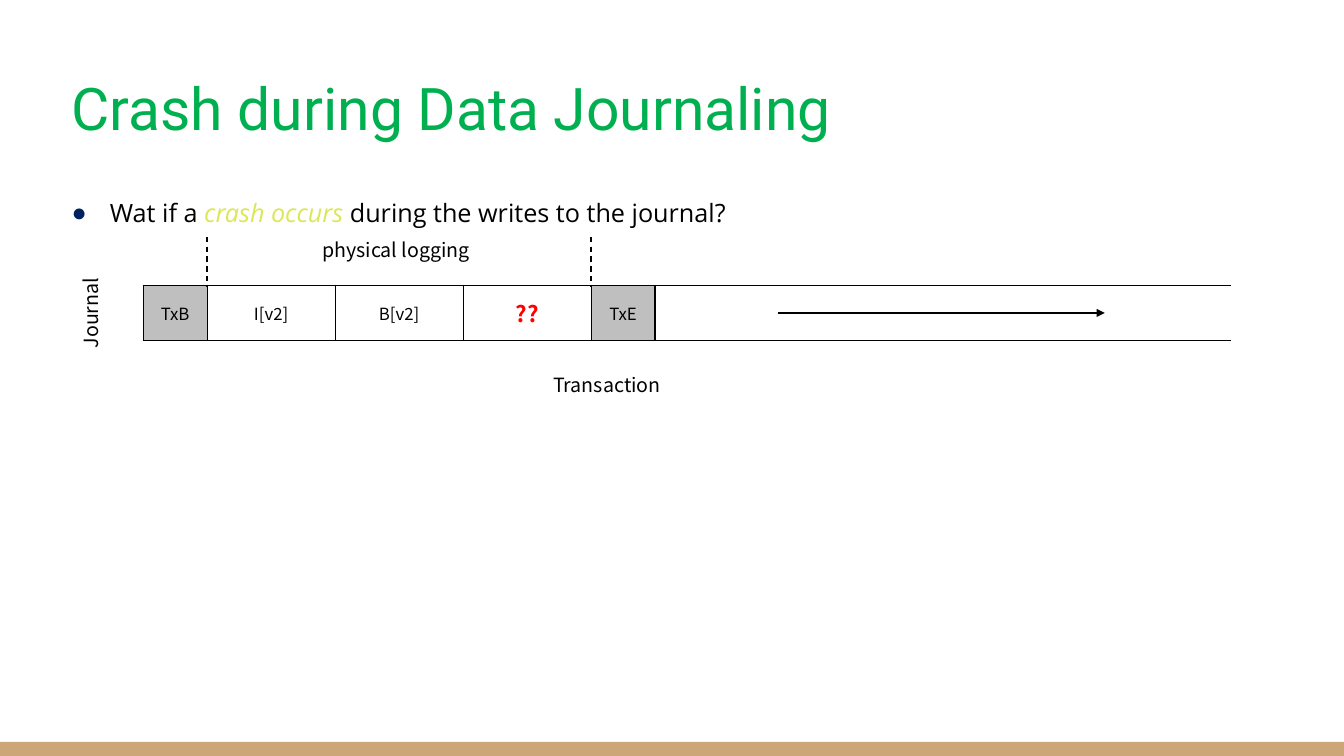
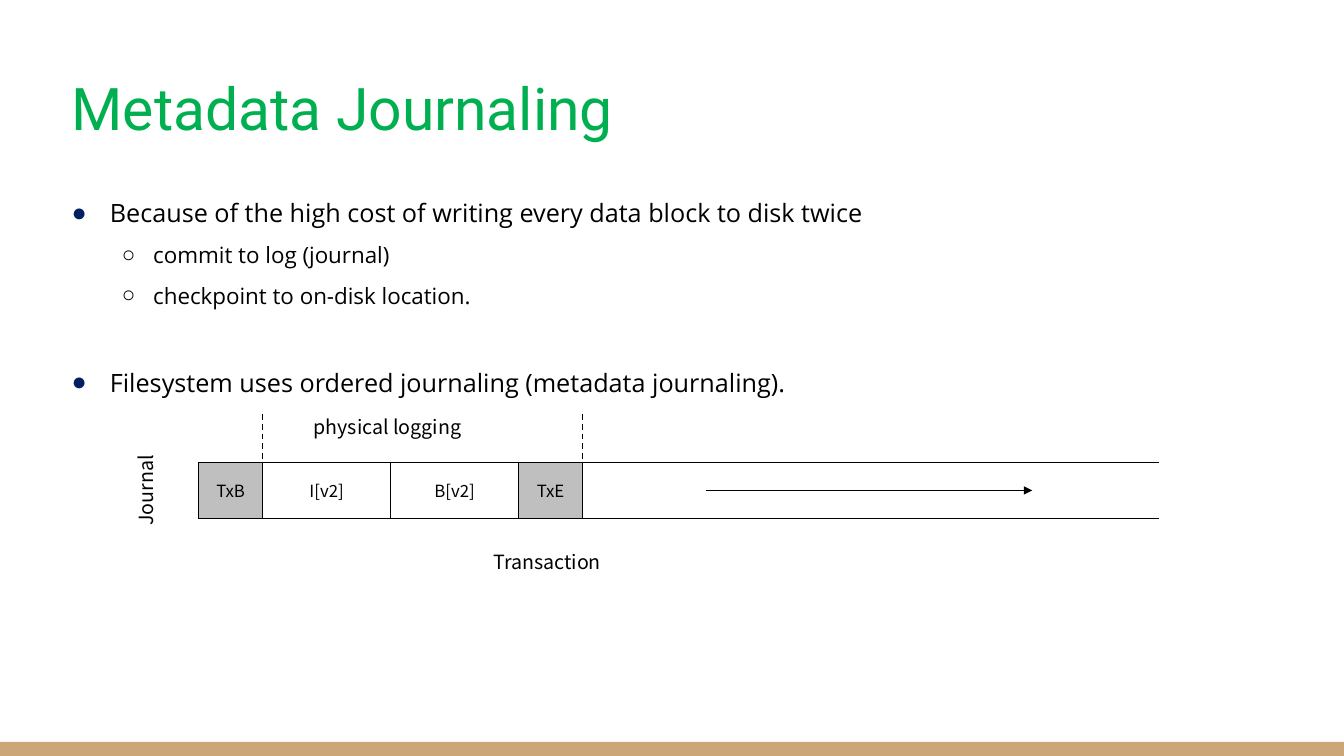
import lxml.etree
import pptx
import pptx.dml.color
import pptx.enum.dml
import pptx.enum.shapes
import pptx.enum.text
import pptx.oxml.ns
import pptx.util
from dataclasses import dataclass

ALIGN = pptx.enum.text.PP_ALIGN
MIDDLE = pptx.enum.text.MSO_ANCHOR.MIDDLE
TOP = pptx.enum.text.MSO_ANCHOR.TOP


@dataclass(frozen=True)
class Theme:
    title: str = "00B050"
    ink: str = "000000"
    paper: str = "FFFFFF"
    band: str = "CCA677"
    bullet: str = "002060"
    accent: str = "DCE755"
    alert: str = "FF0000"
    marker: str = "BFBFBF"
    title_font: str = "Roboto"
    body_font: str = "Open Sans"
    diagram_font: str = "Noto Sans CJK KR"
    title_size: int = 42
    body_sizes: tuple = (18, 16)
    label_size: int = 14
    cell_size: int = 12
    alert_size: int = 16


THEME = Theme()

# Slide grid: 21 columns; a journal row has a fixed height
WIDTH, HEIGHT = 13.33, 7.5
COL = WIDTH / 21
ROW = 0.55
MARGIN = 0.61
BAND_HEIGHT = 0.14

# Bullet character, colour, left margin and hanging indent for each level
BULLETS = (("●", THEME.bullet, 0.38, 0.38), ("○", THEME.ink, 0.81, 0.31))

# Journal blocks: text, width in columns, fill, extra font values
TX_BEGIN = ("TxB", 1, THEME.marker, {})
INODE = ("I[v2]", 2, THEME.paper, {})
BITMAP = ("B[v2]", 2, THEME.paper, {})
LOST = ("??", 2, THEME.paper,
        {"size": THEME.alert_size, "color": THEME.alert, "bold": True})
TX_END = ("TxE", 1, THEME.marker, {})
FREE = ("", 9, THEME.paper, {})


# Shared helpers
def inches(*lengths):
    return [pptx.util.Inches(length) for length in lengths]


def rgb(color):
    return pptx.dml.color.RGBColor.from_string(color)


def apply(target, values):
    for name, value in values.items():
        setattr(target, name, value)


def add_xml(parent, tag, **attributes):
    return lxml.etree.SubElement(parent, pptx.oxml.ns.qn(tag), attributes)


def add_color(parent, color):
    add_xml(add_xml(parent, "a:solidFill"), "a:srgbClr", val=color)


def add_run(paragraph, text, font, size, color=THEME.ink, **extra):
    run = paragraph.add_run()
    run.text = text
    run.font.color.rgb = rgb(color)
    apply(run.font, {"name": font, "size": pptx.util.Pt(size), **extra})
    return run


# Master and layout
def set_up_layout(presentation):
    layout = presentation.slide_layouts[1]
    title, body = list(layout.placeholders)[:2]
    for part, top, height in ((title, 0.46, 1.21), (body, 1.79, 4.89)):
        box = inches(MARGIN, top, WIDTH - 2 * MARGIN, height)
        apply(part, dict(zip(("left", "top", "width", "height"), box)))
    return layout


def add_band_to_master(presentation, slide):
    band = slide.shapes.add_shape(
        pptx.enum.shapes.MSO_SHAPE.RECTANGLE,
        *inches(0, HEIGHT - BAND_HEIGHT, WIDTH, BAND_HEIGHT))
    band.shadow.inherit = False
    band.fill.solid()
    band.fill.fore_color.rgb = rgb(THEME.band)
    band.line.fill.background()
    presentation.slide_master.element.cSld.spTree.insert(2, band.element)


# Title and bullet list
def write_title(slide, text):
    frame = slide.shapes.title.text_frame
    apply(frame, {"vertical_anchor": MIDDLE,
                  "auto_size": pptx.enum.text.MSO_AUTO_SIZE.NONE})
    heading = frame.paragraphs[0]
    heading.alignment = ALIGN.LEFT
    run = add_run(heading, text, THEME.title_font, THEME.title_size, THEME.title)
    effects = lxml.etree.Element(pptx.oxml.ns.qn("a:effectLst"))
    shadow = add_xml(effects, "a:outerShdw", dist="38100", dir="2700000")
    add_xml(shadow, "a:srgbClr", val=THEME.ink)
    run.font.fill  # the fill comes first, then the effects
    run.font._element.find(pptx.oxml.ns.qn("a:solidFill")).addnext(effects)


def write_list(slide, items):
    """Each item: level, space before in points, (text, font values) parts."""
    frame = slide.placeholders[1].text_frame
    apply(frame, {"vertical_anchor": TOP,
                  "auto_size": pptx.enum.text.MSO_AUTO_SIZE.NONE})
    for number, (level, space, parts) in enumerate(items):
        item = frame.add_paragraph() if number else frame.paragraphs[0]
        apply(item, {"level": level, "line_spacing": 1.4,
                     "space_before": pptx.util.Pt(space)})
        mark, color, margin, hang = BULLETS[level]
        properties = item._p.get_or_add_pPr()
        properties.set("marL", str(pptx.util.Inches(margin)))
        properties.set("indent", str(-pptx.util.Inches(hang)))
        add_xml(add_xml(properties, "a:buClr"), "a:srgbClr", val=color)
        add_xml(properties, "a:buChar", char=mark)
        for text, values in parts:
            add_run(item, text, THEME.body_font, THEME.body_sizes[level], **values)


# Diagram parts
def add_label(slide, text, box, align=ALIGN.CENTER, rotation=0):
    label = slide.shapes.add_textbox(*inches(*box))
    label.rotation = rotation
    label.text_frame.word_wrap = True
    paragraph = label.text_frame.paragraphs[0]
    paragraph.alignment = align
    add_run(paragraph, text, THEME.diagram_font, THEME.label_size)


def add_line(slide, start, end, dashed=False, arrow=False):
    line = slide.shapes.add_connector(
        pptx.enum.shapes.MSO_CONNECTOR.STRAIGHT, *inches(*start, *end))
    line.line.color.rgb = rgb(THEME.ink)
    line.line.width = pptx.util.Pt(1)
    if dashed:
        line.line.dash_style = pptx.enum.dml.MSO_LINE.DASH
    if arrow:
        add_xml(line.line._get_or_add_ln(), "a:tailEnd", type="triangle")
    add_xml(line.element.spPr, "a:effectLst")


def set_borders(cell, open_right):
    properties = cell._tc.get_or_add_tcPr()
    for side in "LRTB":
        border = add_xml(properties, f"a:ln{side}", w=str(pptx.util.Pt(1)))
        if side == "R" and open_right:
            add_xml(border, "a:noFill")
        else:
            add_color(border, THEME.ink)


def add_blocks(slide, blocks, left, top):
    width = COL * sum(block[1] for block in blocks)
    table = slide.shapes.add_table(
        1, len(blocks), *inches(left, top, width, ROW)).table
    apply(table, {"first_row": False, "horz_banding": False})
    for number, (text, span, fill, values) in enumerate(blocks):
        table.columns[number].width = pptx.util.Inches(span * COL)
        cell = table.cell(0, number)
        set_borders(cell, open_right=number == len(blocks) - 1)
        cell.fill.solid()
        cell.fill.fore_color.rgb = rgb(fill)
        apply(cell, {"vertical_anchor": MIDDLE,
                     "margin_left": pptx.util.Inches(0.13),
                     "margin_right": pptx.util.Inches(0.13)})
        paragraph = cell.text_frame.paragraphs[0]
        paragraph.alignment = ALIGN.CENTER
        if text:
            add_run(paragraph, text, THEME.diagram_font,
                    **{"size": THEME.cell_size, **values})


def add_journal(slide, logged, left, top, log_end, transaction):
    """Draw a journal; log_end and transaction count columns from its left."""
    add_blocks(slide, [TX_BEGIN, *logged, TX_END, FREE], left, top)
    logged_span = sum(block[1] for block in logged)
    free_left = left + (logged_span + 2) * COL
    log_centre = left + (1 + logged_span / 2) * COL - 0.03

    # Direction of the log
    middle = top + ROW / 2
    add_line(slide, (free_left + 1.22, middle), (free_left + 4.46, middle),
             arrow=True)

    # Labels around the journal
    add_label(slide, "Journal", (left - 0.93, top + 0.05, 0.93, 0.45),
              rotation=270)
    add_label(slide, "Transaction",
              (left + transaction * COL, top + 0.82, 1.91, 0.34), ALIGN.LEFT)
    add_label(slide, "physical logging",
              (log_centre - 1.15, top - 0.52, 2.3, 0.34))

    # Limits of the logged part
    for column in (1, log_end):
        x = left + column * COL
        add_line(slide, (x, top - 0.48), (x, top + 0.02), dashed=True)


def main():
    presentation = pptx.Presentation()
    apply(presentation, dict(zip(("slide_width", "slide_height"),
                                 inches(WIDTH, HEIGHT))))
    layout = set_up_layout(presentation)

    # Crash during the journal write
    crash = presentation.slides.add_slide(layout)
    add_band_to_master(presentation, crash)
    write_title(crash, "Crash during Data Journaling")
    write_list(crash, [
        (0, 0, [("Wat if a ", {}),
                ("crash occurs", {"color": THEME.accent, "italic": True}),
                (" during the writes to the journal?", {})])])
    add_journal(crash, [INODE, BITMAP, LOST], left=1.42, top=2.83,
                log_end=7, transaction=6.25)

    # Metadata only
    metadata = presentation.slides.add_slide(layout)
    write_title(metadata, "Metadata Journaling")
    write_list(metadata, [
        (0, 0, [("Because of the high cost of writing every data block "
                 "to disk twice", {})]),
        (1, 2, [("commit to log (journal)", {})]),
        (1, 2, [("checkpoint to on-disk location.", {})]),
        (0, 33, [("Filesystem uses ordered journaling "
                  "(metadata journaling).", {})])])
    add_journal(metadata, [INODE, BITMAP], left=1.97, top=4.59,
                log_end=6, transaction=4.45)

    presentation.save("out.pptx")


if __name__ == "__main__":
    main()
